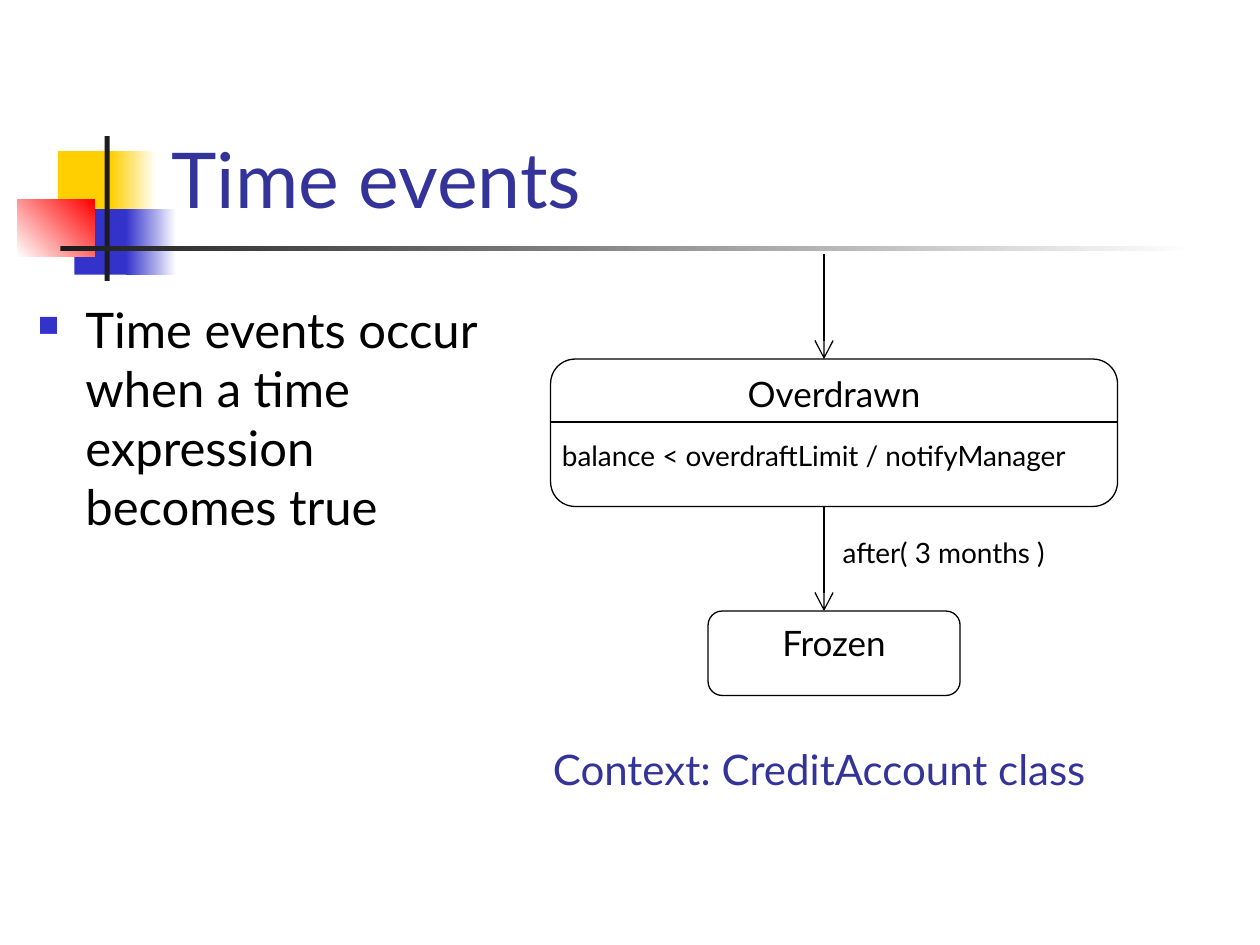
import pptx
import pptx.util
import pptx.dml.color
import pptx.enum.shapes
import pptx.enum.text
import pptx.oxml
import pptx.oxml.ns

Inches = pptx.util.Inches
Pt = pptx.util.Pt
RGBColor = pptx.dml.color.RGBColor
Shape = pptx.enum.shapes.MSO_SHAPE
Align = pptx.enum.text.PP_ALIGN
Anchor = pptx.enum.text.MSO_ANCHOR

FONT = "Lato"
BLACK = RGBColor(0x00, 0x00, 0x00)
WHITE = RGBColor(0xFF, 0xFF, 0xFF)
YELLOW = RGBColor(0xFF, 0xCF, 0x01)
BLUE = RGBColor(0x33, 0x33, 0xCC)
RED = RGBColor(0xFF, 0x00, 0x00)
CHARCOAL = RGBColor(0x1C, 0x1C, 0x1C)
NAVY = RGBColor(0x33, 0x33, 0x99)

FLOW_X = 6.54  # the transitions share one vertical line


def add_xml(parent, xml):
    """Append a DrawingML element to parent."""
    namespace = pptx.oxml.ns.nsdecls("a")
    parent.append(pptx.oxml.parse_xml(xml.replace("/>", f" {namespace}/>", 1)))


def set_text(frame, text, size, color, align=Align.LEFT, before=0):
    frame.text = text
    para = frame.paragraphs[0]
    para.alignment = align
    para.space_before = Pt(before)
    font = para.runs[0].font
    font.name, font.size, font.color.rgb = FONT, Pt(size), color
    return para


def add_block(slide, at, start, end=None, angle=0):
    """Add a decorative rectangle, solid or fading from start to end."""
    block = slide.shapes.add_shape(Shape.RECTANGLE, *map(Inches, at))
    block.shadow.inherit = False
    block.line.fill.background()
    if end is None:
        block.fill.solid()
        block.fill.fore_color.rgb = start
    else:
        block.fill.gradient()
        block.fill.gradient_angle = angle
        for stop, color in zip(block.fill.gradient_stops, (start, end)):
            stop.color.rgb = color


def add_text(slide, at, text, size, color, before=0, side=0.1, wrap=True):
    box = slide.shapes.add_textbox(*map(Inches, at))
    frame = box.text_frame
    frame.word_wrap = wrap
    frame.margin_left = frame.margin_right = Inches(side)
    return set_text(frame, text, size, color, before=before)


def add_bullet(para, color):
    """Give the paragraph a small square bullet and a hanging indent."""
    properties = para._p.get_or_add_pPr()
    properties.set("marL", str(Inches(0.38)))
    properties.set("indent", str(-Inches(0.38)))
    holder = pptx.oxml.parse_xml(
        f'<a:buClr {pptx.oxml.ns.nsdecls("a")}><a:srgbClr val="{color}"/></a:buClr>')
    properties.append(holder)
    add_xml(properties, '<a:buSzPct val="60000"/>')
    add_xml(properties, '<a:buChar char="■"/>')


def add_state(slide, at, name):
    state = slide.shapes.add_shape(Shape.ROUNDED_RECTANGLE, *map(Inches, at))
    state.shadow.inherit = False
    state.fill.solid()
    state.fill.fore_color.rgb = WHITE
    state.line.color.rgb = BLACK
    state.line.width = Pt(0.75)
    frame = state.text_frame
    frame.word_wrap = False
    frame.vertical_anchor = Anchor.TOP
    set_text(frame, name, 20, BLACK, Align.CENTER)


def add_line(slide, start, end, arrow=False):
    line = slide.shapes.add_connector(
        pptx.enum.shapes.MSO_CONNECTOR.STRAIGHT, *map(Inches, start + end))
    line.line.color.rgb = BLACK
    line.line.width = Pt(0.75)
    if arrow:
        add_xml(line.line._get_or_add_ln(), '<a:tailEnd type="arrow" w="lg" len="lg"/>')
    add_xml(line._element.spPr, "<a:effectLst/>")


def add_decoration(slide):
    add_block(slide, (0.46, 1.2, 0.48, 0.52), YELLOW)
    add_block(slide, (0.88, 1.2, 0.36, 0.52), YELLOW, WHITE)
    add_block(slide, (0.59, 1.66, 0.46, 0.52), BLUE)
    add_block(slide, (1, 1.66, 0.4, 0.52), BLUE, WHITE)
    add_block(slide, (0.14, 1.58, 0.61, 0.46), WHITE, RED, angle=45)
    add_block(slide, (0.83, 1.08, 0.04, 1.15), CHARCOAL)
    add_block(slide, (0.48, 1.95, 9, 0.04), CHARCOAL, WHITE)


def add_title(slide, text):
    title = slide.shapes.title
    title.left, title.top = Inches(1.26), Inches(0.23)
    title.width, title.height = Inches(8.52), Inches(1.6)
    title.text_frame.vertical_anchor = Anchor.BOTTOM
    set_text(title.text_frame, text, 44, NAVY)
    # Keep the title in front of the decoration
    slide.shapes._spTree.append(title._element)


def add_state_diagram(slide):
    # Overdrawn state with its internal transition
    add_state(slide, (4.37, 2.85, 4.5, 1.17), "Overdrawn")
    add_line(slide, (4.37, 3.35), (8.87, 3.35))
    add_text(slide, (4.46, 3.43, 4.5, 0.37),
             "balance < overdraftLimit / notifyManager", 16, BLACK, before=10, side=0)

    # Frozen state, reached by the time event
    add_state(slide, (5.62, 4.85, 2, 0.67), "Frozen")
    for top, bottom in ((2.02, 2.85), (4.02, 4.85)):
        add_line(slide, (FLOW_X, top), (FLOW_X, bottom), arrow=True)
    # The event label stands clear, to the right of its arrow
    add_text(slide, (FLOW_X + 0.05, 4.2, 1.93, 0.37), "after( 3 months )", 16, BLACK)

    # Caption
    add_text(slide, (4.29, 5.85, 4.67, 0.5),
             "Context: CreditAccount class", 24, NAVY, before=15)


def main():
    deck = pptx.Presentation()
    deck.slide_width, deck.slide_height = Inches(10), Inches(7.5)
    page = deck.slides.add_slide(deck.slide_layouts[5])

    add_decoration(page)
    add_title(page, "Time events")
    body = add_text(page, (0.2, 2.33, 3.78, 4.88),
                    "Time events occur when a time expression becomes true",
                    28, BLACK, before=7)
    add_bullet(body, BLUE)
    add_state_diagram(page)
    deck.save("out.pptx")


if __name__ == "__main__":
    main()
